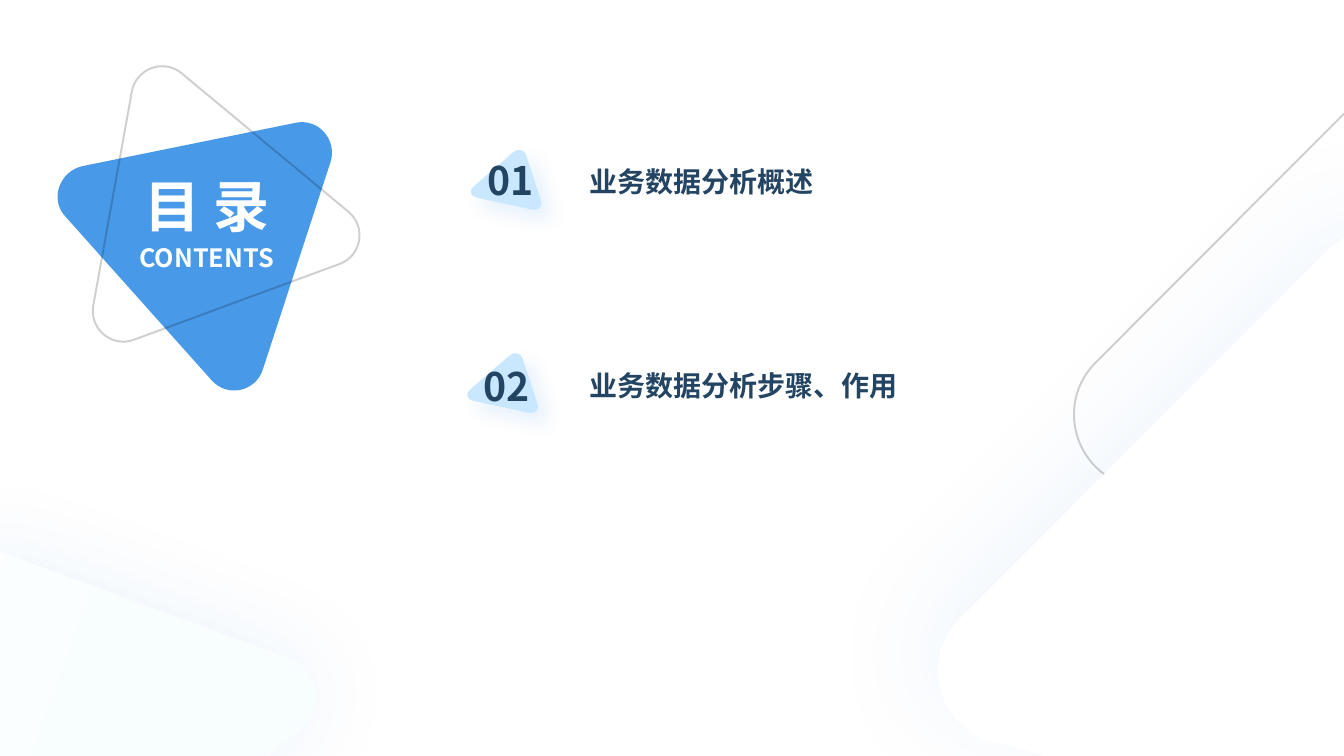
from dataclasses import dataclass
from math import cos, radians, sin

from lxml import etree
from pptx import Presentation
from pptx.dml.color import RGBColor
from pptx.enum.text import MSO_ANCHOR, MSO_AUTO_SIZE, PP_ALIGN
from pptx.oxml.ns import qn
from pptx.util import Cm, Pt

MIDDLE, NO_FIT = MSO_ANCHOR.MIDDLE, MSO_AUTO_SIZE.NONE
LEFT, CENTER = PP_ALIGN.LEFT, PP_ALIGN.CENTER
TWO_CONTENT = 3


@dataclass(frozen=True)
class Theme:
    """Colours, font and type sizes of the slide."""
    font: str = "Noto Sans CJK SC"
    navy: str = "234463"
    blue: str = "177DE3"
    sky: str = "C9E7FF"
    mint: str = "F8FEFE"
    white: str = "FFFFFF"
    black: str = "000000"
    title: int = 40
    number: int = 28
    entry: int = 20
    subtitle: int = 18
    outline: float = 1.38


THEME = Theme()

TITLE, SUBTITLE = "目 录", "CONTENTS"
ENTRIES = ["业务数据分析概述", "业务数据分析步骤、作用"]

# Rounded triangles in cm: each corner is start, two handles, end.
CORNER_PANEL = [
    [(43.46, 13.31), (43.84, 14.68), (42.6, 15.95), (41.22, 15.57)],
    [(28.45, 12.24), (27.08, 11.89), (26.59, 10.16), (27.61, 9.14)],
    [(36.88, -0.15), (37.87, -1.14), (39.6, -0.71), (39.98, 0.66)],
]
MINT_PANEL = [
    [(0.03, 22.56), (0.15, 23.37), (1.12, 23.72), (1.75, 23.19)],
    [(7.54, 18.39), (8.18, 17.86), (8, 16.87), (7.24, 16.59)],
    [(0.2, 14), (-0.56, 13.72), (-1.35, 14.38), (-1.22, 15.16)],
]
BADGE = [
    [(13.64, 5.08), (13.69, 5.21), (13.54, 5.33), (13.41, 5.28)],
    [(12.01, 4.98), (11.86, 4.95), (11.81, 4.8), (11.94, 4.7)],
    [(12.93, 3.84), (13.03, 3.73), (13.23, 3.78), (13.26, 3.91)],
]
TITLE_TRIANGLE = [
    [(6.63, 9.3), (6.45, 9.88), (5.72, 10.03), (5.33, 9.58)],
    [(1.65, 5.46), (1.24, 5.03), (1.5, 4.32), (2.08, 4.19)],
    [(7.44, 3.1), (8.03, 2.97), (8.51, 3.53), (8.33, 4.09)],
]
TITLE_OUTLINE = [
    [(8.79, 5.33), (9.25, 5.72), (9.12, 6.45), (8.56, 6.65)],
    [(3.38, 8.56), (2.82, 8.76), (2.26, 8.28), (2.36, 7.7)],
    [(3.33, 2.31), (3.43, 1.73), (4.11, 1.47), (4.57, 1.83)],
]
# Turns: degrees and centre in cm.
MINT_TURN = (155, 2.87, 17.51)
TITLE_TURN = (33.5, 5.13, 5.35)
OUTLINE_TURN = (325.2, 4.55, 5.27)
PANEL_SHIFT = (-3.43, 6.46)
BADGE_STEP = (-0.09, 5.12)
NUMBER_STEP = (-0.11, 5.18)
ENTRY_STEP = 5.15


def add_node(parent, tag, **attributes):
    """Append a DrawingML element and return it."""
    node = etree.SubElement(parent, qn(tag))
    for name, value in attributes.items():
        node.set(name, str(value))
    return node


def set_color(fill, color, alpha=100):
    """Make a fill solid, with its opacity in percent."""
    fill.solid()
    fill.fore_color.rgb = RGBColor.from_string(color)
    if alpha < 100:
        choice = fill._xPr.find(qn("a:solidFill"))
        add_node(choice[0], "a:alpha", val=alpha * 1000)


def add_shadow(shape, alpha, blur, distance, angle):
    """Give a shape a soft blue outer shadow."""
    effects = shape._element.spPr.find(qn("a:effectLst"))
    shadow = add_node(effects, "a:outerShdw", blurRad=Pt(blur), dist=Pt(distance),
                      dir=angle * 60000, algn="ctr", rotWithShape=0)
    color = add_node(shadow, "a:srgbClr", val=THEME.blue)
    add_node(color, "a:alpha", val=alpha * 1000)


def turn_back(point, angle, center_x, center_y):
    """Rotate a point counter-clockwise about a centre."""
    x, y = point[0] - center_x, point[1] - center_y
    c, s = cos(radians(angle)), sin(radians(angle))
    return center_x + x * c + y * s, center_y - x * s + y * c


def round_corners(shape):
    """Merge the three segments of each corner into one cubic curve."""
    lines = list(shape._element.iter(qn("a:lnTo")))
    for start in (0, 4, 8):
        first, *others = lines[start:start + 3]
        cubic = etree.Element(qn("a:cubicBezTo"))
        first.addprevious(cubic)
        for line in (first, *others):
            cubic.append(line[0])
            line.getparent().remove(line)


def add_triangle(page, corners, shift=(0, 0), turn=(0, 0, 0),
                 fill=None, alpha=100, shadow=None):
    """Draw a rounded triangle, filled or as a faint outline."""
    points = [turn_back((x + shift[0], y + shift[1]), *turn)
              for corner in corners for x, y in corner]
    points = [(Cm(x), Cm(y)) for x, y in points]
    builder = page.shapes.build_freeform(*points[0])
    builder.add_line_segments(points[1:], close=True)
    shape = builder.convert_to_shape()
    round_corners(shape)
    shape.rotation = turn[0]
    shape.shadow.inherit = False
    if fill:
        set_color(shape.fill, fill, alpha)
        shape.line.fill.background()
    else:
        shape.fill.background()
        shape.line.width = Pt(THEME.outline)
        set_color(shape.line.fill, THEME.black, 18)
    if shadow:
        add_shadow(shape, *shadow)
    return shape


def write(box, place, text, size, color, align=CENTER):
    """Place a text holder on top and fill it with one bold line."""
    for name, value in zip(("left", "top", "width", "height"), place):
        setattr(box, name, Cm(value))
    frame = box.text_frame
    for name, value in {"word_wrap": True, "auto_size": NO_FIT,
                        "vertical_anchor": MIDDLE}.items():
        setattr(frame, name, value)
    para = frame.paragraphs[0]
    for name, value in {"alignment": align, "space_before": Pt(0)}.items():
        setattr(para, name, value)
    settings = para._p.get_or_add_pPr()
    settings.set("marL", "0")
    settings.set("indent", "0")
    add_node(settings, "a:buNone")
    span = para.add_run()
    span.text = text
    for name, value in {"name": THEME.font, "size": Pt(size), "bold": True}.items():
        setattr(span.font, name, value)
    span.font.color.rgb = RGBColor.from_string(color)
    add_node(span._r.get_or_add_rPr(), "a:ea", typeface=THEME.font)
    box._element.getparent().append(box._element)


def add_background(page):
    """Draw the large panels at the slide's lower corners."""
    add_triangle(page, CORNER_PANEL)
    add_triangle(page, CORNER_PANEL, PANEL_SHIFT, fill=THEME.white, shadow=(5, 76, 16, 225))
    panel = add_triangle(page, MINT_PANEL, turn=MINT_TURN, fill=THEME.mint,
                         shadow=(7, 65, 3, 225))
    panel.fill.gradient()
    panel.fill.gradient_angle = 135
    for stop, color, position in zip(panel.fill.gradient_stops,
                                     (THEME.white, THEME.mint), (0, 0.55)):
        stop.color.rgb = RGBColor.from_string(color)
        stop.position = position


def add_entry(page, index, body, text):
    """Draw one numbered line of the contents list."""
    shift = [index * step for step in BADGE_STEP]
    across, down = [index * step for step in NUMBER_STEP]
    add_triangle(page, BADGE, shift, fill=THEME.sky, shadow=(10, 13, 10, 45))
    number = page.shapes.add_textbox(0, 0, 0, 0)
    write(number, (11.83 + across, 3.81 + down, 2.08, 1.45),
          f"{index + 1:02}", THEME.number, THEME.navy)
    write(body, (14.6, 4.01 + index * ENTRY_STEP, 8.41, 1.12), text,
          THEME.entry, THEME.navy, LEFT)


def add_heading(page):
    """Draw the title over its two crossed triangles."""
    add_triangle(page, TITLE_TRIANGLE, turn=TITLE_TURN, fill=THEME.blue, alpha=78)
    add_triangle(page, TITLE_OUTLINE, turn=OUTLINE_TURN)
    write(page.shapes.title, (2.77, 4.19, 4.88, 1.96), TITLE, THEME.title, THEME.white)
    subtitle = page.shapes.add_textbox(0, 0, 0, 0)
    write(subtitle, (2.77, 5.99, 4.88, 1.02), SUBTITLE, THEME.subtitle, THEME.white)


deck = Presentation()
deck.slide_width, deck.slide_height = Cm(33.87), Cm(19.05)
page = deck.slides.add_slide(deck.slide_layouts[TWO_CONTENT])
bodies = list(page.placeholders)[1:]
add_background(page)
for index, (body, text) in enumerate(zip(bodies, ENTRIES)):
    add_entry(page, index, body, text)
add_heading(page)
deck.save("out.pptx")
